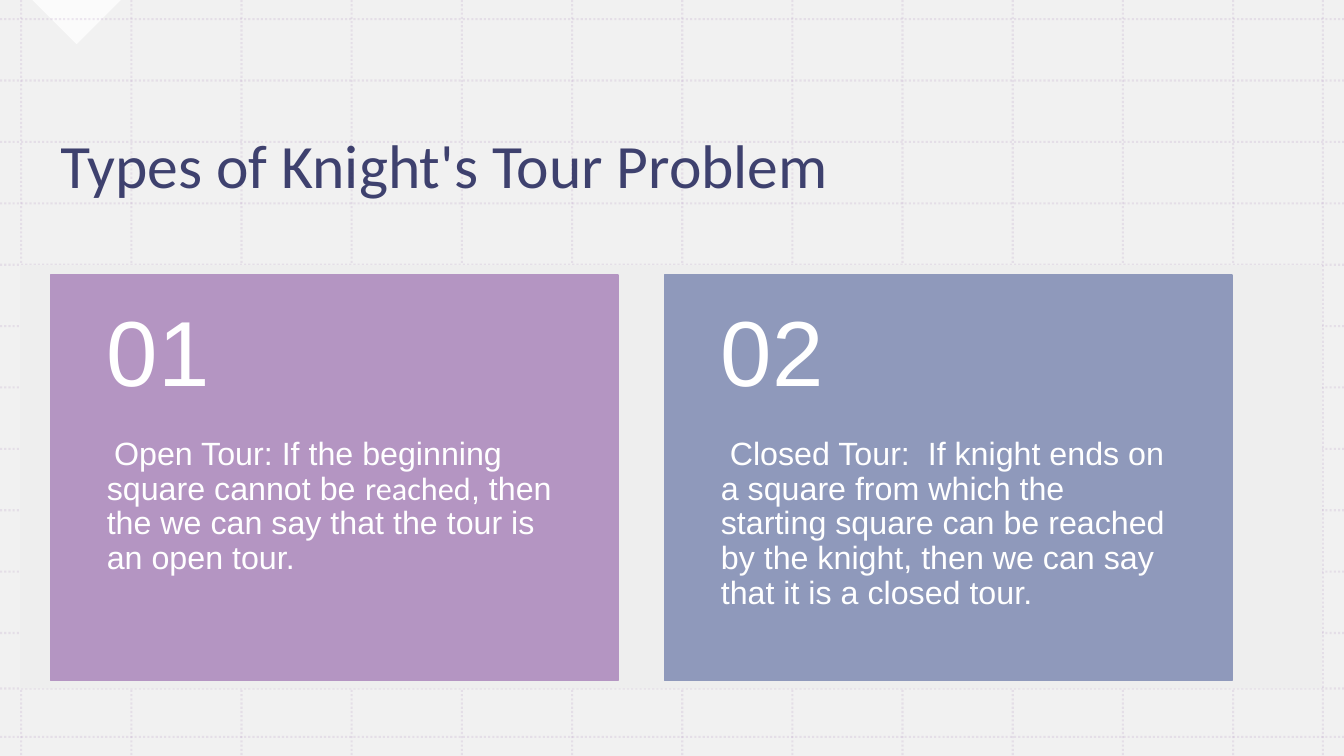
import dataclasses

import lxml.etree
import pptx
import pptx.dml.color
import pptx.enum.dml
import pptx.enum.shapes
import pptx.enum.text
import pptx.oxml.ns
import pptx.util

Inches = pptx.util.Inches
RGBColor = pptx.dml.color.RGBColor
Shapes = pptx.enum.shapes.MSO_SHAPE
Anchor = pptx.enum.text.MSO_ANCHOR

WHITE = RGBColor(0xFF, 0xFF, 0xFF)
PALE_GREY = RGBColor(0xEE, 0xEE, 0xEE)
MAUVE = RGBColor(0xB4, 0x95, 0xC2)
SLATE = RGBColor(0x8F, 0x99, 0xBB)
NAVY = RGBColor(0x12, 0x15, 0x4E)

SLIDE_WIDTH, SLIDE_HEIGHT = 13.33, 7.5
COLUMNS = [0.21 + i * 12.02 / 11 for i in range(12)] + [13.12]
ROWS = [0.19 + i * 0.609 for i in range(11)] + [6.83, 7.31]

CARD_TOP, CARD_WIDTH = 2.73, 5.63
NUMBER_HEIGHT, BODY_HEIGHT = 1.61, 2.41
CARD_INDENT = 0.56


@dataclasses.dataclass
class Box:
    left: float
    top: float
    width: float
    height: float

    def lengths(self) -> list[int]:
        return [Inches(v) for v in (self.left, self.top, self.width, self.height)]


@dataclasses.dataclass
class Phrase:
    text: str
    font: str = "Arial"


@dataclasses.dataclass
class TourCard:
    left: float
    color: RGBColor
    number: str
    body: list[Phrase]


CARDS = [
    TourCard(0.5, MAUVE, "01", [
        Phrase(" ", "Calibri"),
        Phrase("Open Tour: If the beginning square cannot be "),
        Phrase("reached", "Calibri"),
        Phrase(", then the we can say that the tour is an open tour."),
    ]),
    TourCard(6.59, SLATE, "02", [
        Phrase(" Closed Tour:  If knight ends on a square from which the starting "
               "square can be reached by the knight, then we can say that it is "
               "a closed tour."),
    ]),
]


def set_opacity(element, percent: int) -> None:
    color = next(element.iter(pptx.oxml.ns.qn("a:srgbClr")))
    alpha = lxml.etree.SubElement(color, pptx.oxml.ns.qn("a:alpha"))
    alpha.set("val", str(percent * 1000))


def add_panel(slide, box: Box, color: RGBColor, preset=Shapes.RECTANGLE,
              opacity: int = 100, outlined: bool = False):
    panel = slide.shapes.add_shape(preset, *box.lengths())
    panel.shadow.inherit = False
    panel.fill.solid()
    panel.fill.fore_color.rgb = color
    if opacity < 100:
        set_opacity(panel.fill._xPr, opacity)
    if outlined:
        panel.line.color.rgb = color
        panel.line.width = pptx.util.Pt(1)
    else:
        panel.line.fill.background()
    return panel


def add_grid_line(slide, x1: float, y1: float, x2: float, y2: float) -> None:
    grid_line = slide.shapes.add_connector(
        pptx.enum.shapes.MSO_CONNECTOR.STRAIGHT,
        *(Inches(v) for v in (x1, y1, x2, y2)))
    grid_line.line.color.rgb = MAUVE
    grid_line.line.width = pptx.util.Pt(1.5)
    grid_line.line.dash_style = pptx.enum.dml.MSO_LINE.ROUND_DOT
    properties = grid_line._element.spPr
    set_opacity(properties, 20)
    lxml.etree.SubElement(properties, pptx.oxml.ns.qn("a:effectLst"))


def add_text(slide, box: Box, phrases: list[Phrase], size: int, color: RGBColor,
             anchor=Anchor.TOP, insets=(0.1, 0.05, 0.1, 0.05), opacity: int = 100) -> None:
    frame = slide.shapes.add_textbox(*box.lengths()).text_frame
    frame.word_wrap = True
    frame.vertical_anchor = anchor
    (frame.margin_left, frame.margin_top,
     frame.margin_right, frame.margin_bottom) = map(Inches, insets)
    paragraph = frame.paragraphs[0]
    paragraph.line_spacing = 0.9
    for phrase in phrases:
        run = paragraph.add_run()
        run.text = phrase.text
        run.font.name = phrase.font
        run.font.size = pptx.util.Pt(size)
        run.font.color.rgb = color
        if opacity < 100:
            set_opacity(run._r, opacity)


def add_card(slide, card: TourCard) -> None:
    add_panel(slide, Box(card.left, CARD_TOP, CARD_WIDTH, NUMBER_HEIGHT + BODY_HEIGHT),
              card.color, outlined=True)
    add_text(slide, Box(card.left, CARD_TOP + NUMBER_HEIGHT, CARD_WIDTH, BODY_HEIGHT),
             card.body, 23, WHITE, insets=(CARD_INDENT, 0, CARD_INDENT, 0.36))
    add_text(slide, Box(card.left, CARD_TOP, CARD_WIDTH, NUMBER_HEIGHT),
             [Phrase(card.number)], 66, WHITE, Anchor.MIDDLE,
             (CARD_INDENT, 0.18, CARD_INDENT, 0.18))


def main() -> None:
    deck = pptx.Presentation()
    deck.slide_width, deck.slide_height = Inches(SLIDE_WIDTH), Inches(SLIDE_HEIGHT)
    slide = deck.slides.add_slide(deck.slide_layouts[6])

    # Backdrop with corner triangle
    add_panel(slide, Box(0, 0, SLIDE_WIDTH, SLIDE_HEIGHT), PALE_GREY, opacity=80)
    corner = add_panel(slide, Box(0.45, -0.31, 0.62, 0.62), WHITE,
                       Shapes.RIGHT_TRIANGLE, opacity=75)
    corner.rotation = 315

    # Dotted grid
    for x in COLUMNS:
        add_grid_line(slide, x, 0, x, SLIDE_HEIGHT)
    for y in ROWS:
        add_grid_line(slide, 0, y, SLIDE_WIDTH, y)

    # Title
    add_text(slide, Box(0.5, 0.79, 11.75, 1.76),
             [Phrase("Types of Knight's Tour Problem", "Calibri")],
             44, NAVY, Anchor.MIDDLE, opacity=80)

    # Tour cards on their band
    add_panel(slide, Box(0.2, 2.63, 12.91, 4.2), PALE_GREY)
    for card in CARDS:
        add_card(slide, card)

    deck.save("out.pptx")


if __name__ == "__main__":
    main()
